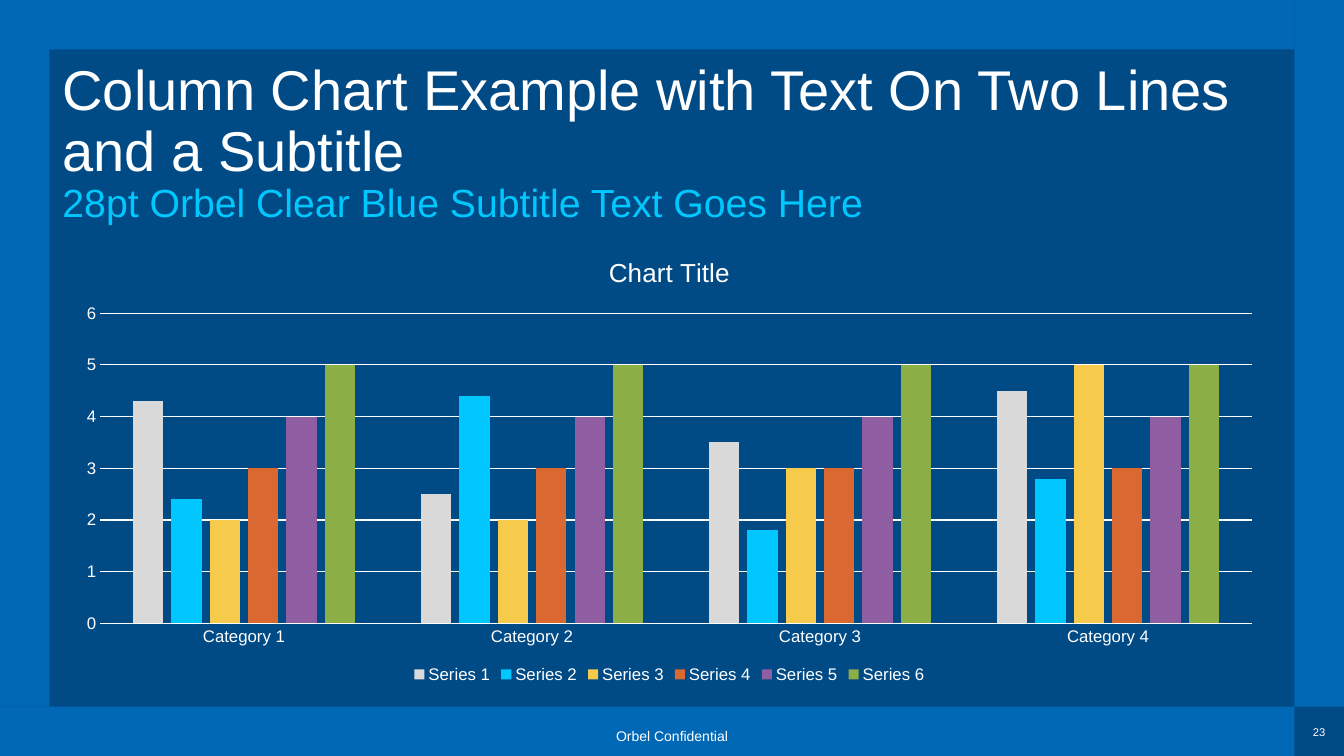
from dataclasses import dataclass

from pptx import Presentation
from pptx.chart.data import CategoryChartData
from pptx.dml.color import RGBColor
from pptx.enum.chart import XL_CHART_TYPE, XL_LEGEND_POSITION, XL_TICK_MARK
from pptx.enum.shapes import MSO_SHAPE
from pptx.enum.text import MSO_ANCHOR, MSO_AUTO_SIZE, PP_ALIGN
from pptx.util import Inches, Pt

RECT = MSO_SHAPE.RECTANGLE
LEFT, CENTER = PP_ALIGN.LEFT, PP_ALIGN.CENTER
TOP, MIDDLE, BOTTOM = MSO_ANCHOR.TOP, MSO_ANCHOR.MIDDLE, MSO_ANCHOR.BOTTOM
COLUMNS = XL_CHART_TYPE.COLUMN_CLUSTERED
NO_TICK = XL_TICK_MARK.NONE
LEGEND_SIDE = XL_LEGEND_POSITION.BOTTOM


@dataclass(frozen=True)
class Theme:
    font: str = "Arial"
    back: str = "004A86"
    band: str = "0068B5"
    text: str = "FFFFFF"
    accent: str = "00C7FD"
    bars: tuple = ("D9D9D9", "00C7FD", "F6CB4B", "D96930", "8F5DA2", "8BAE46")
    title: float = 40
    subtitle: float = 28
    heading: float = 18.6
    label: float = 12
    footer: float = 10
    number: float = 8
    rule: float = 0.75


def assign(target, values):
    for name, value in values.items():
        setattr(target, name, value)


class Deck:
    """Slide builder; every box is left, top, width, height in percent of the slide."""

    def __init__(self, theme):
        self.theme = theme
        self.file = Presentation()
        assign(self.file, {"slide_width": Inches(13.33), "slide_height": Inches(7.5)})
        self.slide = self.file.slides.add_slide(self.file.slide_layouts[5])
        self.paint(self.slide.background.fill, theme.back)

    def place(self, box):
        wide, high = self.file.slide_width, self.file.slide_height
        return [round(share * full / 100) for share, full in zip(box, (wide, high) * 2)]

    def paint(self, fill, color):
        fill.solid()
        fill.fore_color.rgb = RGBColor.from_string(color)

    def style(self, font, size, color=None):
        assign(font, {"name": self.theme.font, "size": Pt(size), "bold": False})
        font.color.rgb = RGBColor.from_string(color or self.theme.text)

    def rule(self, line):
        line.width = Pt(self.theme.rule)
        self.paint(line.fill, self.theme.text)

    def band(self, box):
        shape = self.slide.shapes.add_shape(RECT, *self.place(box))
        shape.shadow.inherit = False
        self.paint(shape.fill, self.theme.band)
        shape.line.fill.background()

    def letter(self, shape, words, size, color=None, align=LEFT, anchor=TOP, space=1.0):
        frame = shape.text_frame
        assign(frame, {
            "text": words, "word_wrap": True, "auto_size": MSO_AUTO_SIZE.NONE,
            "vertical_anchor": anchor, "margin_left": 0, "margin_right": 0,
            "margin_top": 0, "margin_bottom": 0,
        })
        line = frame.paragraphs[0]
        assign(line, {"alignment": align, "line_spacing": space})
        self.style(line.runs[0].font, size, color)

    def title(self, box, words):
        shape = self.slide.shapes.title
        assign(shape, dict(zip(("left", "top", "width", "height"), self.place(box))))
        self.letter(shape, words, self.theme.title, space=0.9)

    def text(self, box, words, size, **look):
        self.letter(self.slide.shapes.add_textbox(*self.place(box)), words, size, **look)

    def chart(self, box, heading, groups, rows):
        data = CategoryChartData()
        data.categories = groups
        for name, values in rows.items():
            data.add_series(name, values)
        chart = self.slide.shapes.add_chart(COLUMNS, *self.place(box), data).chart
        self.style(chart.font, self.theme.footer)

        chart.has_title = True
        chart.chart_title.include_in_layout = False
        frame = chart.chart_title.text_frame
        frame.text = heading
        self.style(frame.paragraphs[0].runs[0].font, self.theme.heading)

        chart.has_legend = True
        assign(chart.legend, {"position": LEGEND_SIDE, "include_in_layout": False})
        self.style(chart.legend.font, self.theme.label)

        for axis in (chart.category_axis, chart.value_axis):
            assign(axis, {"major_tick_mark": NO_TICK, "minor_tick_mark": NO_TICK})
            self.style(axis.tick_labels.font, self.theme.label)
        self.rule(chart.category_axis.format.line)
        scale = chart.value_axis
        assign(scale, {"minimum_scale": 0, "maximum_scale": 6, "major_unit": 1})
        scale.format.line.fill.background()
        self.rule(scale.major_gridlines.format.line)

        plot = chart.plots[0]
        assign(plot, {"gap_width": 219, "overlap": -27, "vary_by_categories": False})
        for bar, color in zip(plot.series, self.theme.bars):
            bar.invert_if_negative = False
            self.paint(bar.format.fill, color)


def main():
    theme = Theme()
    deck = Deck(theme)
    side, edge = 3.68, 6.53
    inner, floor = 100 - side, 100 - edge
    for box in ((0, floor, inner, edge), (inner, 0, side, floor),
                (0, 0, inner, edge), (0, 0, side, floor)):
        deck.band(box)

    middle = {"align": CENTER, "anchor": MIDDLE}
    deck.text((40, 95.73, 20, 3.33), "Orbel Confidential", theme.footer, **middle)
    deck.text((inner, 96, side, 1.73), "23", theme.number, **middle)

    start, width = 4.65, 90.32
    deck.title((start, 8.27, width, 13.87),
               "Column Chart Example with Text On Two Lines and a Subtitle")
    deck.chart(
        (start, 31.2, width, 59.73), "Chart Title",
        [f"Category {n}" for n in range(1, 5)],
        {
            "Series 1": (4.3, 2.5, 3.5, 4.5),
            "Series 2": (2.4, 4.4, 1.8, 2.8),
            "Series 3": (2, 2, 3, 5),
            "Series 4": (3,) * 4,
            "Series 5": (4,) * 4,
            "Series 6": (5,) * 4,
        },
    )
    deck.text((start, 23.47, width, 6.4), "28pt Orbel Clear Blue Subtitle Text Goes Here",
              theme.subtitle, color=theme.accent, anchor=BOTTOM)
    deck.file.save("out.pptx")


if __name__ == "__main__":
    main()
